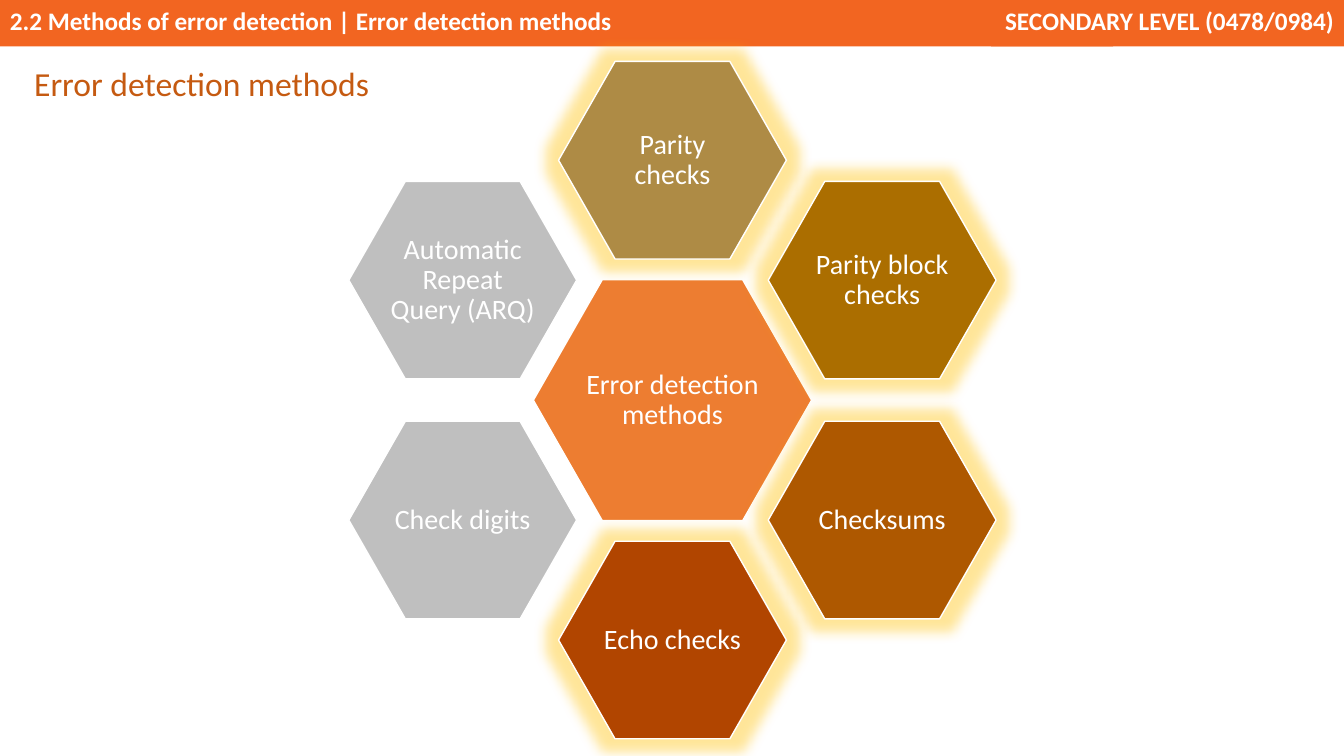
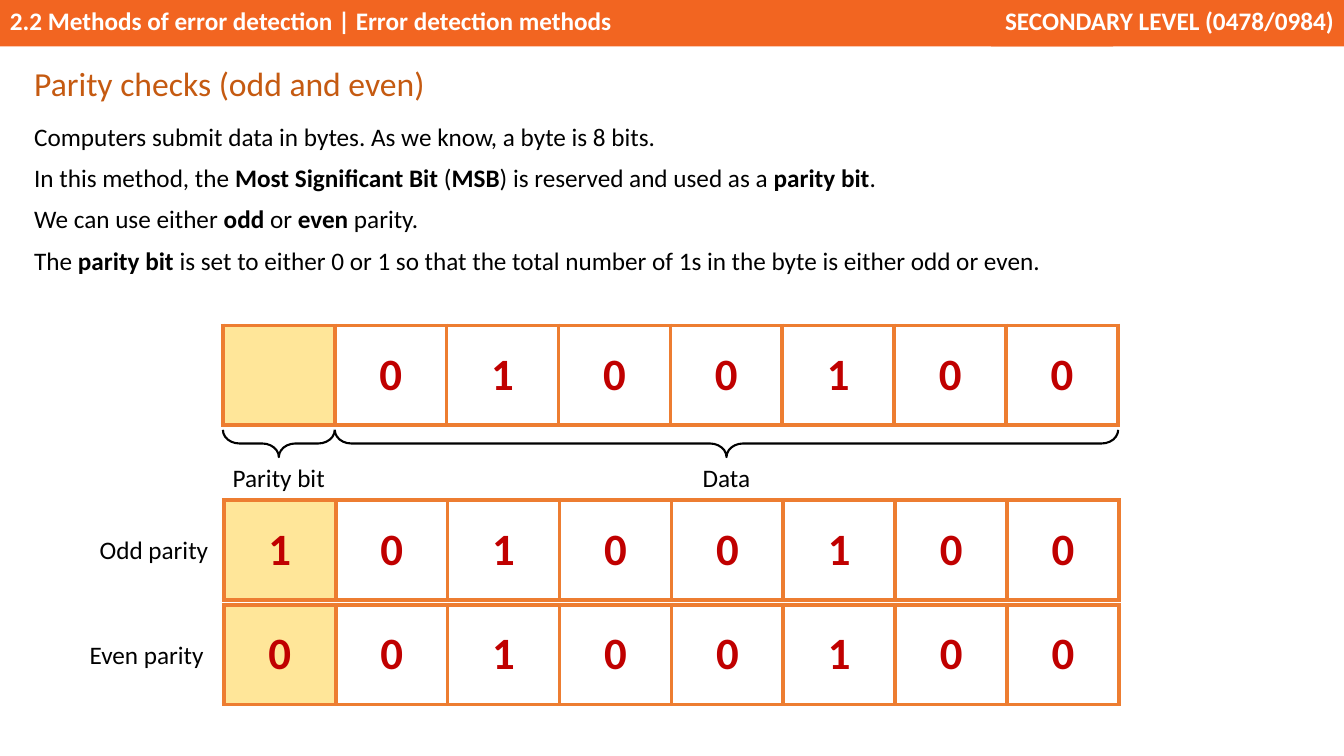
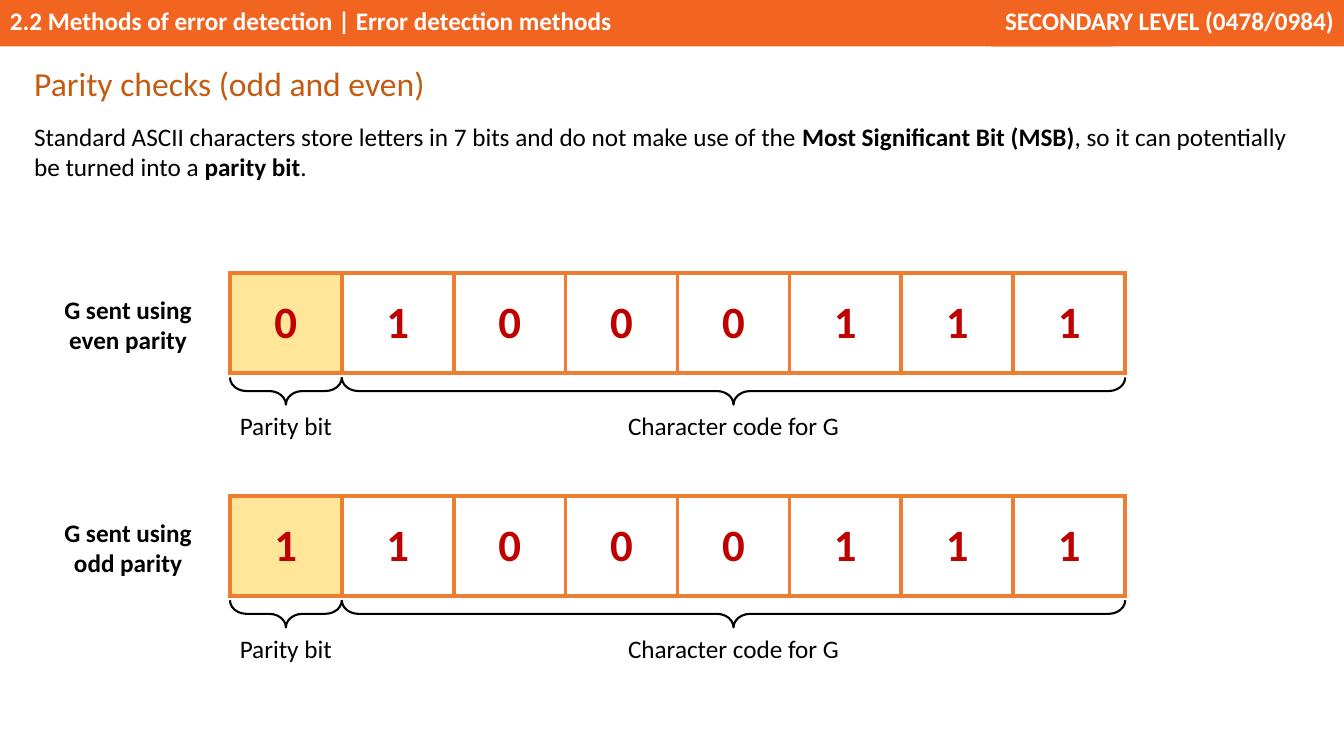
from lxml.etree import SubElement
from pptx import Presentation
from pptx.dml.color import RGBColor
from pptx.enum.shapes import MSO_SHAPE as SHAPE
from pptx.enum.text import MSO_ANCHOR as ANCHOR, PP_ALIGN as ALIGN
from pptx.oxml.ns import qn
from pptx.util import Inches, Pt

BAND = RGBColor(0xF2, 0x65, 0x21)
TITLE = RGBColor(0xC5, 0x5A, 0x11)
ORANGE = RGBColor(0xED, 0x7D, 0x31)
OLIVE = RGBColor(0xAE, 0x8B, 0x45)
OCHRE = RGBColor(0xAB, 0x6E, 0x00)
BROWN = RGBColor(0xAE, 0x58, 0x00)
RUST = RGBColor(0xB1, 0x45, 0x00)
GREY = RGBColor(0xBF, 0xBF, 0xBF)
GLOW = RGBColor(0xFF, 0xC0, 0x00)
PARITY_FILL = RGBColor(0xFF, 0xE6, 0x99)
BIT = RGBColor(0xC0, 0x00, 0x00)
BLACK = RGBColor(0, 0, 0)
WHITE = RGBColor(0xFF, 0xFF, 0xFF)

FONT = "Calibri"
WIDTH, HEIGHT = 13.33, 7.5
BIT_W, BIT_H = 1.11, 0.99
BRACE_H = 0.27
LABEL_H = 0.4


def style(p, size, color, bold=False, align=ALIGN.LEFT):
    p.alignment = align
    p.font.name = FONT
    p.font.size = Pt(size)
    p.font.color.rgb = color
    p.font.bold = bold


def add_shape(s, kind, x, y, w, h, fill=None, line=None, line_w=1):
    sp = s.shapes.add_shape(kind, Inches(x), Inches(y), Inches(w), Inches(h))
    sp.shadow.inherit = False
    if fill is None:
        sp.fill.background()
    else:
        sp.fill.solid()
        sp.fill.fore_color.rgb = fill
    if line is None:
        sp.line.fill.background()
    else:
        sp.line.color.rgb = line
        sp.line.width = Pt(line_w)
    return sp


def add_text(s, x, y, w, h, paragraphs, size=18, color=BLACK, bold=False,
             align=ALIGN.LEFT, after=0, spacing=None):
    """Write paragraphs in a text box; ** switches bold on and off."""
    tf = s.shapes.add_textbox(Inches(x), Inches(y), Inches(w), Inches(h)).text_frame
    tf.word_wrap = True
    for i, text in enumerate(paragraphs):
        p = tf.paragraphs[0] if i == 0 else tf.add_paragraph()
        style(p, size, color, bold, align)
        p.space_after = Pt(after)
        if spacing:
            p.line_spacing = spacing
        for j, part in enumerate(text.split("**")):
            r = p.add_run()
            r.text = part
            if j % 2:
                r.font.bold = True


def add_band(s, x, w, text, align):
    sp = add_shape(s, SHAPE.RECTANGLE, x, 0, w, 0.46, BAND)
    tf = sp.text_frame
    tf.vertical_anchor = ANCHOR.MIDDLE
    tf.margin_top, tf.margin_bottom = Inches(0.02), Inches(0.08)
    p = tf.paragraphs[0]
    p.text = text
    style(p, 18, WHITE, True, align)


def new_slide(prs, title):
    s = prs.slides.add_slide(prs.slide_layouts[6])
    add_band(s, 0, 11.04, "2.2 Methods of error detection | Error detection methods", ALIGN.LEFT)
    add_band(s, 9.83, 3.5, "SECONDARY LEVEL (0478/0984)", ALIGN.RIGHT)
    add_text(s, 0.24, 0.55, 5.79, 0.51, [title], 24, TITLE, after=8, spacing=1.07)
    return s


def add_glow(sp):
    effects = sp._element.spPr.find(qn("a:effectLst"))
    glow = SubElement(effects, qn("a:glow"), rad=str(Pt(18)))
    color = SubElement(glow, qn("a:srgbClr"), val=str(GLOW))
    SubElement(color, qn("a:alpha"), val="40000")


def add_hexagon(s, cx, cy, w, h, text, fill, glows=False):
    sp = add_shape(s, SHAPE.HEXAGON, cx - w / 2, cy - h / 2, w, h, fill, WHITE)
    sp.adjustments[0] = 0.286
    if glows:
        add_glow(sp)
    tf = sp.text_frame
    tf.word_wrap = True
    tf.vertical_anchor = ANCHOR.MIDDLE
    tf.margin_left = tf.margin_right = tf.margin_top = tf.margin_bottom = Inches(0.03)
    p = tf.paragraphs[0]
    p.text = text
    p.line_spacing = 0.9
    style(p, 20, WHITE, align=ALIGN.CENTER)


def add_borders(cell):
    tc_pr = cell._tc.get_or_add_tcPr()
    for side in ("lnL", "lnR", "lnT", "lnB"):
        ln = SubElement(tc_pr, qn(f"a:{side}"), w=str(Pt(3)))
        fill = SubElement(ln, qn("a:solidFill"))
        SubElement(fill, qn("a:srgbClr"), val=str(ORANGE))


def add_byte(s, x, y, parity, data):
    """Draw one byte as a table row with the parity bit highlighted."""
    bits = [parity, *data]
    table = s.shapes.add_table(1, len(bits), Inches(x), Inches(y),
                               Inches(BIT_W * len(bits)), Inches(BIT_H)).table
    table.first_row = table.horz_banding = False
    for i, bit in enumerate(bits):
        table.columns[i].width = Inches(BIT_W)
        cell = table.cell(0, i)
        add_borders(cell)
        if i == 0:
            cell.fill.solid()
            cell.fill.fore_color.rgb = PARITY_FILL
        else:
            cell.fill.background()
        cell.vertical_anchor = ANCHOR.MIDDLE
        p = cell.text_frame.paragraphs[0]
        p.text = bit
        style(p, 32, BIT, True, ALIGN.CENTER)


def add_brace(s, x, y, first, count, text, label_w):
    """Brace and label a run of bits of the byte at x, y."""
    span = BIT_W * count
    cx = x + BIT_W * first + span / 2
    cy = y + 1.17
    sp = add_shape(s, SHAPE.RIGHT_BRACE, cx - BRACE_H / 2, cy - span / 2,
                   BRACE_H, span, line=BLACK, line_w=1.5)
    sp.rotation = 90
    sp.adjustments[0] = 0.608
    add_text(s, cx - label_w / 2, y + 1.31, label_w, LABEL_H, [text], align=ALIGN.CENTER)


def add_braced_byte(s, x, y, parity, data, data_label, label_w):
    add_byte(s, x, y, parity, data)
    add_brace(s, x, y, 0, 1, "Parity bit", 1.14)
    add_brace(s, x, y, 1, len(data), data_label, label_w)


def methods_slide(prs):
    s = new_slide(prs, "Error detection methods")
    cx, cy, dx, dy = 6.67, 3.97, 2.08, 1.19
    add_hexagon(s, cx, cy, 2.76, 2.39, "Error detection methods", ORANGE)
    ring = [
        (0, -2, "Parity checks", OLIVE, True),
        (1, -1, "Parity block checks", OCHRE, True),
        (1, 1, "Checksums", BROWN, True),
        (0, 2, "Echo checks", RUST, True),
        (-1, 1, "Check digits", GREY, False),
        (-1, -1, "Automatic Repeat Query (ARQ)", GREY, False),
    ]
    for col, row, text, fill, glows in ring:
        add_hexagon(s, cx + col * dx, cy + row * dy, 2.26, 1.96, text, fill, glows)


def parity_slide(prs):
    s = new_slide(prs, "Parity checks (odd and even)")
    data = "0100100"
    add_text(s, 0.24, 1.15, 11.28, 2.37, [
        "Computers submit data in bytes. As we know, a byte is 8 bits.",
        "In this method, the **Most Significant Bit** (**MSB**) is reserved "
        "and used as a **parity bit**.",
        "We can use either **odd** or **even** parity.",
        "The **parity bit** is set to either 0 or 1 so that the total number of 1s "
        "in the byte is either odd or even.",
    ], after=8)
    add_braced_byte(s, 2.21, 3.23, "", data, "Data", 0.95)
    for y, parity, text, label_x in ((4.96, "1", "Odd parity", 0.89),
                                     (6, "0", "Even parity", 0.79)):
        add_byte(s, 2.22, y, parity, data)
        add_text(s, label_x, y + 0.29, 2.22 - label_x, LABEL_H, [text])


def ascii_slide(prs):
    s = new_slide(prs, "Parity checks (odd and even)")
    add_text(s, 0.24, 1.15, 12.77, 1.01, [
        "Standard ASCII characters store letters in 7 bits and do not make use of the "
        "**Most Significant Bit (MSB)**, so it can potentially be turned into a "
        "**parity bit**."])
    for y, parity, kind in ((2.71, "0", "even"), (4.92, "1", "odd")):
        add_braced_byte(s, 2.28, y, parity, "1000111", "Character code for G", 2.52)
        add_text(s, 0.39, y + 0.16, 1.76, 0.71, ["G sent using", f"{kind} parity"],
                 bold=True, align=ALIGN.CENTER)


def main():
    prs = Presentation()
    prs.slide_width, prs.slide_height = Inches(WIDTH), Inches(HEIGHT)
    methods_slide(prs)
    parity_slide(prs)
    ascii_slide(prs)
    prs.save("out.pptx")


if __name__ == "__main__":
    main()
